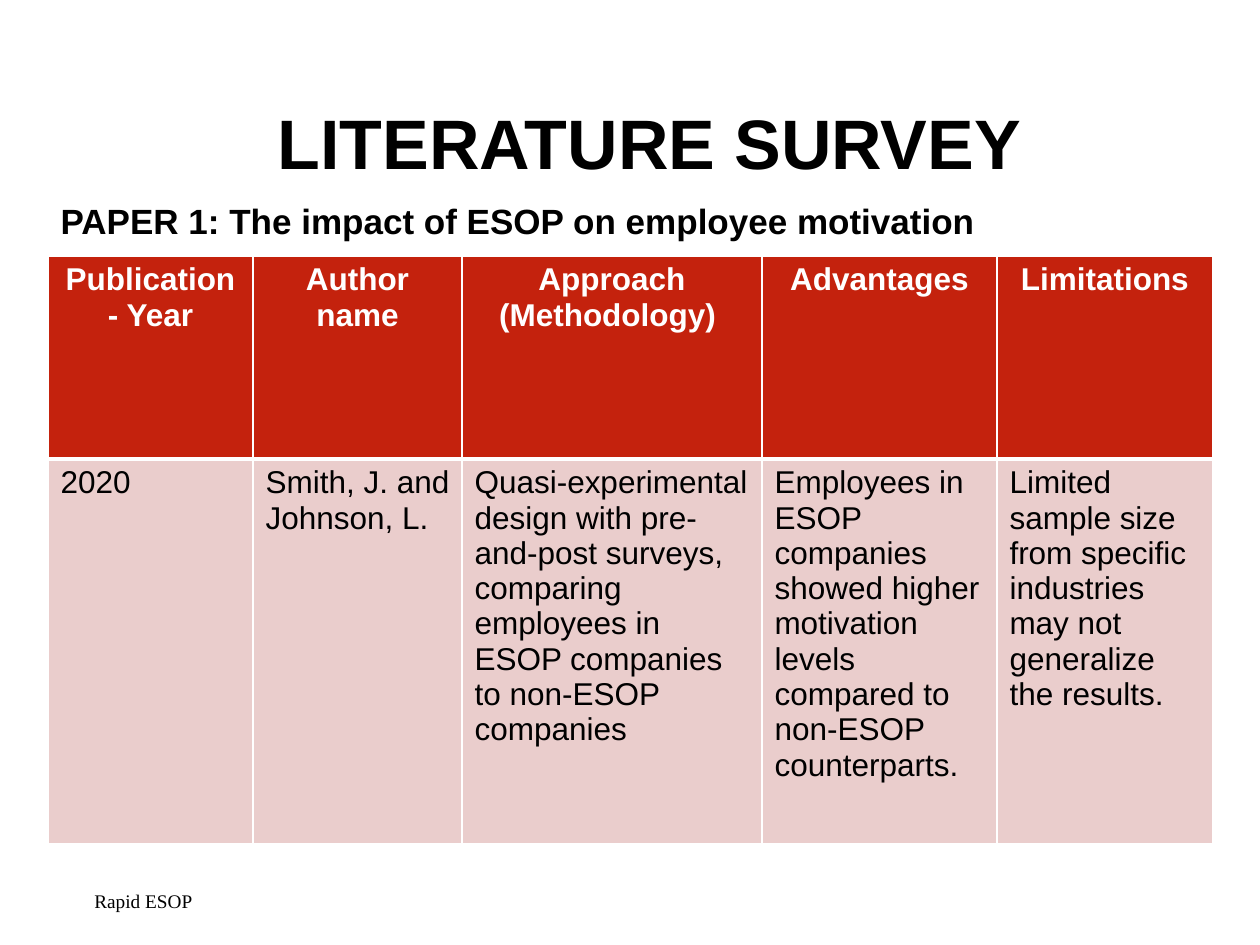
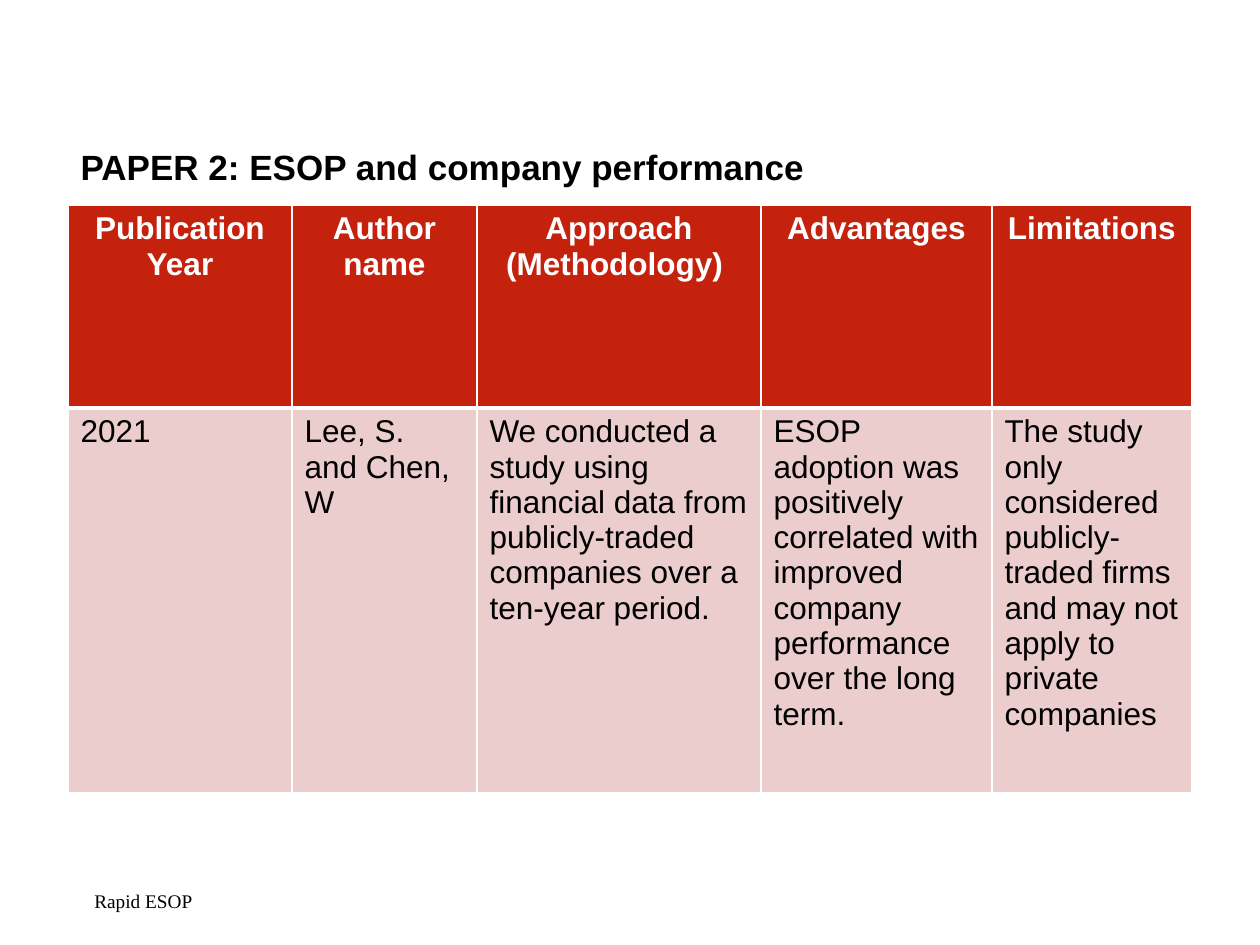
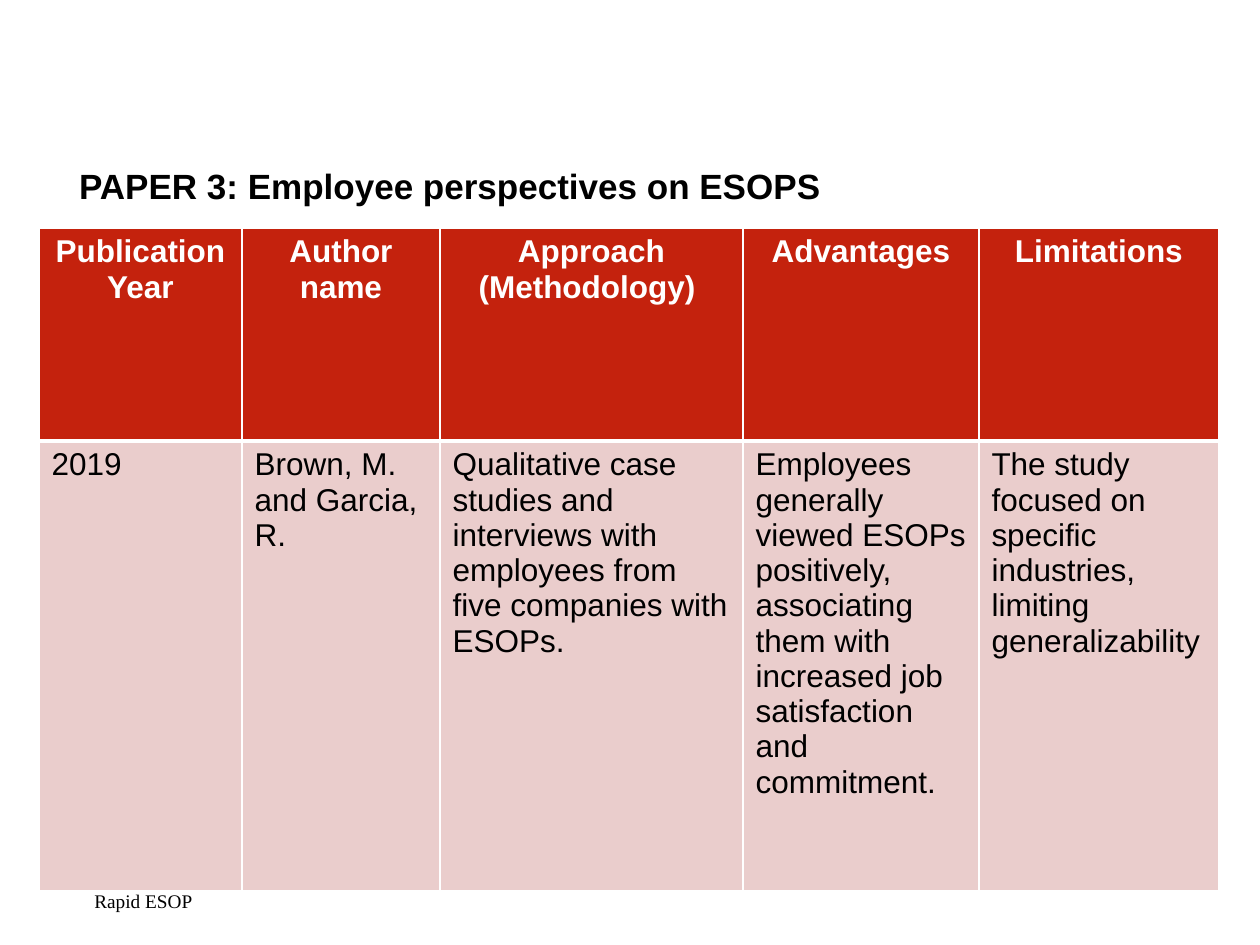
from lxml import etree
from pptx import Presentation
from pptx import util as u
from pptx.dml.color import RGBColor
from pptx.enum import text as t
from pptx.oxml.ns import qn

EMU_PER_PX = 914400 / 126
TITLE_ONLY = 5

BLACK = RGBColor(0x00, 0x00, 0x00)
WHITE = RGBColor(0xFF, 0xFF, 0xFF)
RED = RGBColor(0xC4, 0x22, 0x0D)
PINK = RGBColor(0xEA, 0xCD, 0xCC)

LEFT, CENTER = t.PP_ALIGN.LEFT, t.PP_ALIGN.CENTER
TOP, MIDDLE = t.MSO_ANCHOR.TOP, t.MSO_ANCHOR.MIDDLE

# One entry per slide; boxes are left, top, width, height
PAPERS = [
    {
        "title": "PAPER 1: The impact of ESOP on employee motivation",
        "title_box": (48, 190, 1181, 66),
        "title_align": LEFT,
        "table_at": (48, 256),
        "columns": [205, 209, 300, 235, 216],
        "rows": [203, 385],
        "year_header": "Publication - Year",
        "findings": [
            "2020",
            "Smith, J. and Johnson, L.",
            "Quasi-experimental design with pre-and-post surveys, comparing "
            "employees in ESOP companies to non-ESOP companies",
            "Employees in ESOP companies showed higher motivation levels "
            "compared to non-ESOP counterparts.",
            "Limited sample size from specific industries may not generalize "
            "the results.",
        ],
    },
    {
        "title": "PAPER 2: ESOP and company performance",
        "title_box": (68, 136, 1144, 66),
        "title_align": LEFT,
        "table_at": (68, 205),
        "columns": [224, 185, 284, 231, 200],
        "rows": [203, 385],
        "year_header": "Publication Year",
        "findings": [
            "2021",
            "Lee, S. and Chen, W",
            "We conducted a study using financial data from publicly-traded "
            "companies over a ten-year period.",
            "ESOP adoption was positively correlated with improved company "
            "performance over the long term.",
            "The study only considered publicly-traded firms and may not "
            "apply to private companies",
        ],
    },
    {
        "title": "PAPER 3: Employee perspectives on ESOPS",
        "title_box": (35, 160, 830, 57),
        "title_align": CENTER,
        "table_at": (39, 228),
        "columns": [203, 198, 303, 236, 240],
        "rows": [213, 450],
        "year_header": "Publication Year",
        "findings": [
            "2019",
            "Brown, M. and Garcia, R.",
            "Qualitative case studies and interviews with employees from "
            "five companies with ESOPs.",
            "Employees generally viewed ESOPs positively, associating them "
            "with increased job satisfaction and commitment.",
            "The study focused on specific industries, limiting "
            "generalizability",
        ],
    },
]
SHARED_HEADERS = ["Author name", "Approach (Methodology) ", "Advantages", "Limitations"]


def px(length):
    return u.Emu(round(length * EMU_PER_PX))


def write(frame, text, size=18, font="Arial", color=BLACK, bold=False,
          align=LEFT, anchor=TOP, line_spacing=None):
    frame.word_wrap = True
    frame.vertical_anchor = anchor
    paragraph = frame.paragraphs[0]
    paragraph.alignment = align
    paragraph.line_spacing = line_spacing
    run = paragraph.add_run()
    run.text = text
    run.font.size = u.Pt(size)
    run.font.name = font
    run.font.bold = bold
    run.font.color.rgb = color


def add_text(slide, box, text, **text_format):
    shape = slide.shapes.add_textbox(*map(px, box))
    write(shape.text_frame, text, **text_format)


def set_title(slide, box, text, align):
    title = slide.shapes.title
    title.left, title.top, title.width, title.height = map(px, box)
    title.text_frame.auto_size = t.MSO_AUTO_SIZE.NONE
    write(title.text_frame, text, size=20, bold=True, align=align,
          anchor=MIDDLE, line_spacing=0.9)


def set_borders(cell, **widths):
    """Draw white borders; sides L, R, T, B take widths in points."""
    properties = cell._tc.get_or_add_tcPr()
    for side, width in widths.items():
        line = etree.SubElement(properties, qn(f"a:ln{side}"), w=str(u.Pt(width)))
        fill = etree.SubElement(line, qn("a:solidFill"))
        etree.SubElement(fill, qn("a:srgbClr"), val=str(WHITE))


def fill_row(table, row, texts, fill, borders, **text_format):
    for column, text in enumerate(texts):
        cell = table.cell(row, column)
        set_borders(cell, **borders)
        cell.fill.solid()
        cell.fill.fore_color.rgb = fill
        write(cell.text_frame, text, **text_format)


def add_survey_table(slide, paper):
    columns, rows = paper["columns"], paper["rows"]
    box = (*paper["table_at"], sum(columns), sum(rows))
    table = slide.shapes.add_table(len(rows), len(columns), *map(px, box)).table
    table.horz_banding = False
    for column, width in zip(table.columns, columns):
        column.width = px(width)
    for row, height in zip(table.rows, rows):
        row.height = px(height)
    fill_row(table, 0, [paper["year_header"], *SHARED_HEADERS], RED,
             dict(L=1, R=1, T=1, B=3), color=WHITE, bold=True, align=CENTER)
    fill_row(table, 1, paper["findings"], PINK, dict(L=1, R=1, T=3, B=1))


def add_footer(slide):
    add_text(slide, (82, 876, 782, 50), "Rapid ESOP", size=11,
             font="Times New Roman", anchor=MIDDLE)


def main():
    presentation = Presentation()
    presentation.slide_width, presentation.slide_height = px(1260), px(945)

    # Paper slides
    for paper in PAPERS:
        slide = presentation.slides.add_slide(presentation.slide_layouts[TITLE_ONLY])
        set_title(slide, paper["title_box"], paper["title"], paper["title_align"])
        add_survey_table(slide, paper)
        add_footer(slide)

    # Section heading on the first slide
    add_text(presentation.slides[0], (233, 93, 833, 97), "LITERATURE SURVEY",
             size=40, bold=True, align=CENTER)

    presentation.save("out.pptx")


if __name__ == "__main__":
    main()
